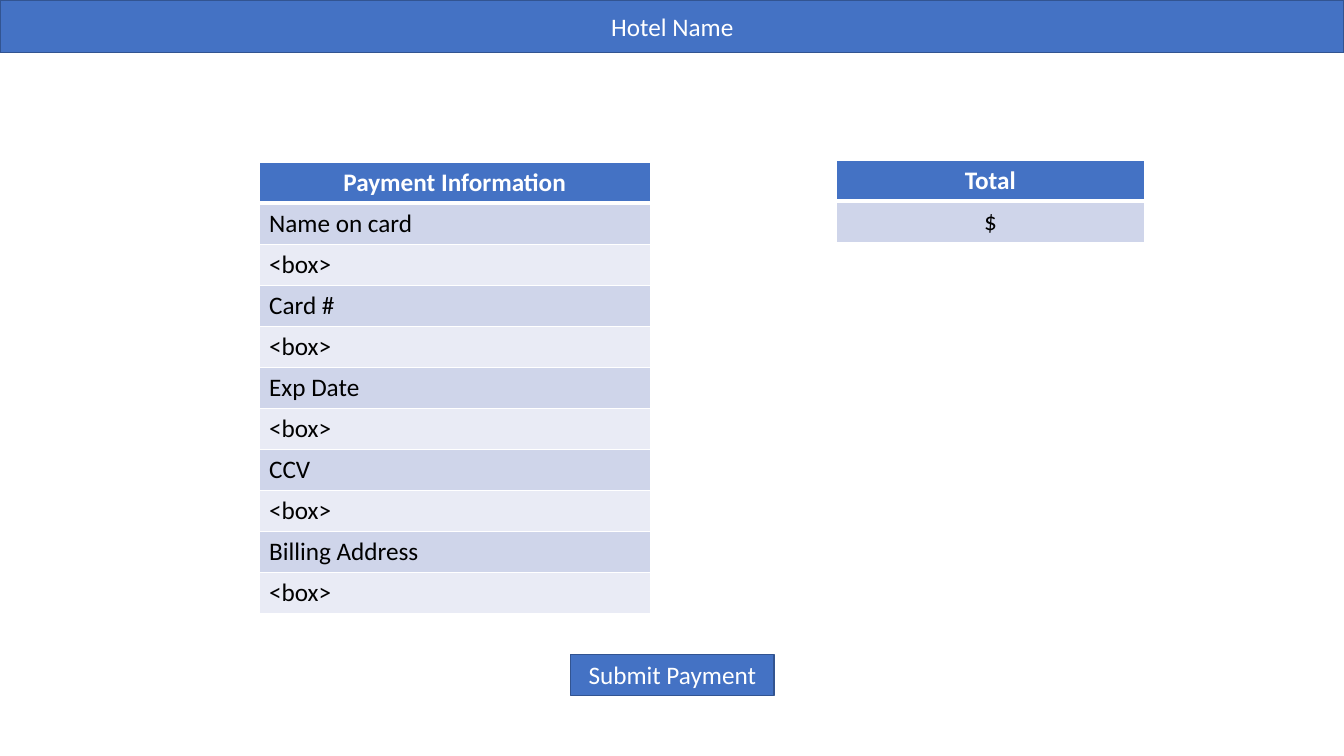
from lxml import etree
from pptx import Presentation
from pptx.dml.color import RGBColor
from pptx.enum.shapes import MSO_SHAPE
from pptx.enum.text import MSO_ANCHOR, PP_ALIGN
from pptx.oxml.ns import qn
from pptx.util import Inches, Pt

RECTANGLE = MSO_SHAPE.RECTANGLE
MIDDLE = MSO_ANCHOR.MIDDLE
LEFT, CENTER = PP_ALIGN.LEFT, PP_ALIGN.CENTER
GRID_COLUMNS, GRID_ROWS = 133.33, 75
UNIT = 0.1
TABLE_ROW = 4.07


def rgb(value):
    return RGBColor.from_string(value)


def write(frame, text, color="000000", bold=False, align=LEFT, size=18, font="Calibri"):
    paragraph = frame.paragraphs[0]
    paragraph.alignment = align
    run = paragraph.add_run()
    run.text = text
    run.font.name, run.font.size, run.font.bold = font, Pt(size), bold
    run.font.color.rgb = rgb(color)


def add_border(cell, side, width, color):
    properties = cell._tc.get_or_add_tcPr()
    border = etree.SubElement(properties, qn(f"a:ln{side}"), w=str(Pt(width)))
    fill = etree.SubElement(border, qn("a:solidFill"))
    etree.SubElement(fill, qn("a:srgbClr"), val=color)


class PaymentPage:
    """Draw page elements in one style on a grid of tenth-inch units."""

    accent, outline, white = "4472C4", "325491", "FFFFFF"
    bands = ("CFD5EA", "E9EBF5")

    def __init__(self, slide):
        self.shapes = slide.shapes

    def place(self, *units):
        return [Inches(unit * UNIT) for unit in units]

    def bar(self, left, top, width, height, text=None):
        bar = self.shapes.add_shape(RECTANGLE, *self.place(left, top, width, height))
        bar.shadow.inherit = False
        bar.fill.solid()
        bar.fill.fore_color.rgb = rgb(self.accent)
        bar.line.color.rgb = rgb(self.outline)
        bar.line.width = Pt(1)
        if text:
            bar.text_frame.vertical_anchor = MIDDLE
            write(bar.text_frame, text, color=self.white, align=CENTER)

    def label(self, left, top, width, height, text):
        label = self.shapes.add_textbox(*self.place(left, top, width, height))
        label.text_frame.word_wrap = True
        write(label.text_frame, text, color=self.white, align=CENTER)

    def table(self, left, top, width, heading, entries, align=LEFT):
        lines = [heading, *entries]
        area = self.place(left, top, width, TABLE_ROW * len(lines))
        table = self.shapes.add_table(len(lines), 1, *area).table
        for index, text in enumerate(lines):
            is_heading = index == 0
            cell = table.cell(index, 0)
            widths = {"L": 1, "R": 1, "T": 3 if index == 1 else 1, "B": 3 if is_heading else 1}
            for side, line_width in widths.items():
                add_border(cell, side, line_width, self.white)
            cell.fill.solid()
            cell.fill.fore_color.rgb = rgb(self.accent if is_heading else self.bands[(index - 1) % 2])
            write(
                cell.text_frame,
                text,
                color=self.white if is_heading else "000000",
                bold=is_heading,
                align=CENTER if is_heading else align,
            )


def main():
    deck = Presentation()
    deck.slide_width = Inches(GRID_COLUMNS * UNIT)
    deck.slide_height = Inches(GRID_ROWS * UNIT)
    page = PaymentPage(deck.slides.add_slide(deck.slide_layouts[6]))

    page.bar(0, 0, GRID_COLUMNS, 5.2)
    page.label(59.6, 0.6, 14.2, 4, "Hotel Name")
    page.table(83, 15.9, 30.5, "Total", ["$"], align=CENTER)

    fields = ["Name on card", "Card #", "Exp Date", "CCV", "Billing Address"]
    entries = [entry for field in fields for entry in (field, "<box>")]
    page.table(25.7, 16.1, 38.8, "Payment Information", entries)

    page.bar(56.6, 64.9, 20.2, 4.1, "Submit Payment")
    deck.save("out.pptx")


if __name__ == "__main__":
    main()
